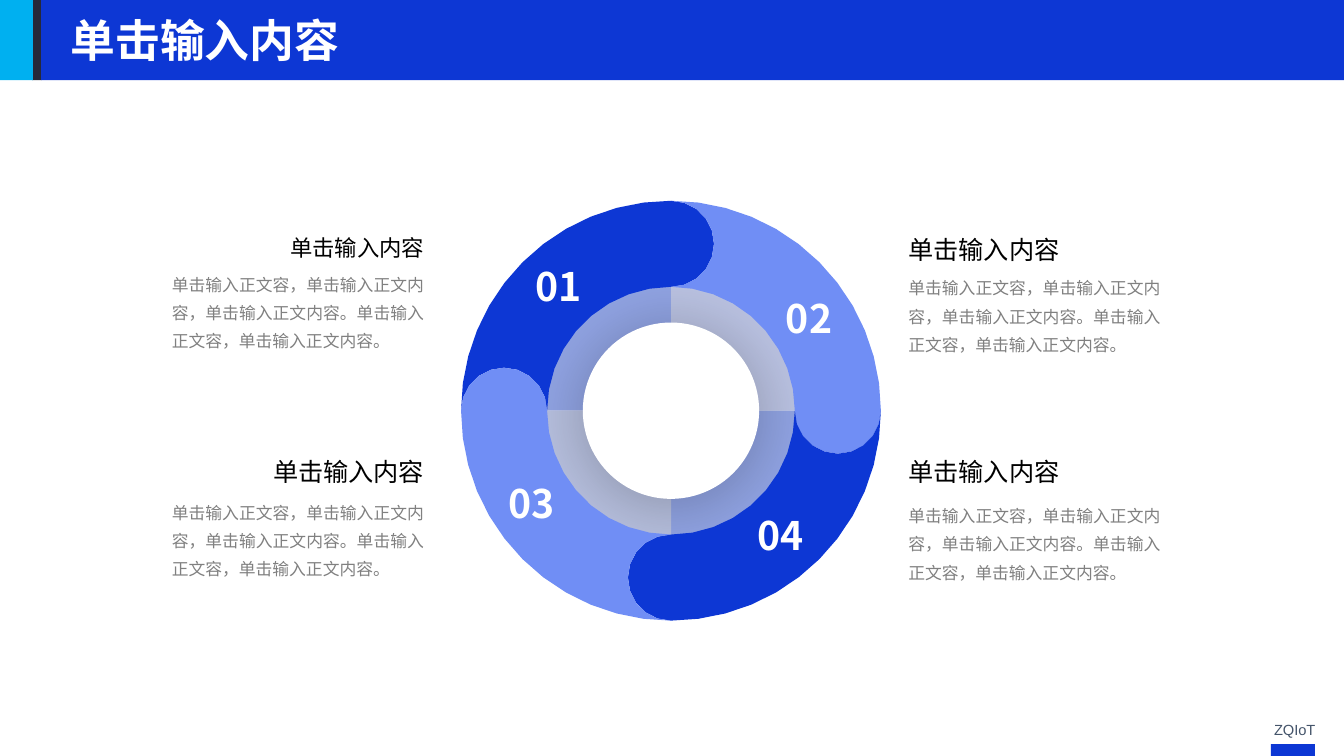
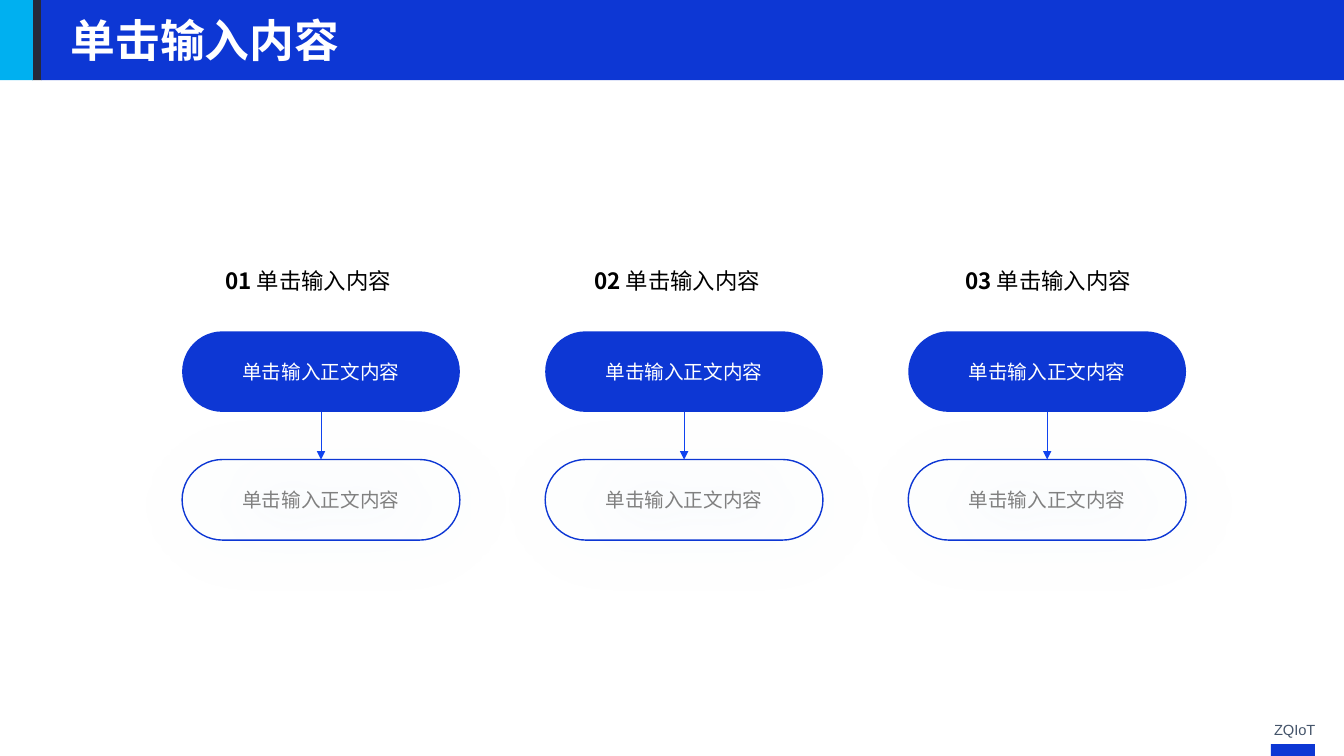
import math

import pptx
import pptx.dml.color
import pptx.enum.dml
import pptx.enum.shapes
import pptx.enum.text
import pptx.oxml
import pptx.oxml.ns
import pptx.util

Cm, Pt = pptx.util.Cm, pptx.util.Pt
ALIGN = pptx.enum.text.PP_ALIGN
PRESET = pptx.enum.shapes.MSO_SHAPE

COLORS = {
    "blue": "0D37D4", "sky": "00B0F0", "navy": "26293A", "light": "708EF5",
    "mist": "BCC4E4", "haze": "B8C1E0", "pale": "92A5E5", "arrow": "1043EF",
    "glow": "5B9BD5", "slate": "44546A", "gray": "808080",
    "white": "FFFFFF", "black": "000000",
}
FONT = "Noto Sans CJK SC"
HEADING = "单击输入内容"
BODY = "单击输入正文容，单击输入正文内容，单击输入正文内容。单击输入正文容，单击输入正文内容。"
STEP_TEXT = "单击输入正文内容"


def rgb(color):
    return pptx.dml.color.RGBColor.from_string(COLORS[color])


def xml(markup):
    """Parse one DrawingML element given without its namespace."""
    head, rest = markup.split(" ", 1)
    return pptx.oxml.parse_xml(f"{head} {pptx.oxml.ns.nsdecls('a')} {rest}")


def add_run(paragraph, text, size, color, bold=False, font=FONT):
    run = paragraph.add_run()
    run.text = text
    run.font.size = Pt(size)
    run.font.bold = bold
    run.font.color.rgb = rgb(color)
    run.font.name = font
    latin = run.font._element.find(pptx.oxml.ns.qn("a:latin"))
    latin.addnext(xml(f'<a:ea typeface="{font}"/>'))


def add_text(slide, box, align=ALIGN.LEFT):
    """Add a wrapping text box and return its first paragraph."""
    frame = slide.shapes.add_textbox(*map(Cm, box)).text_frame
    frame.word_wrap = True
    frame.auto_size = pptx.enum.text.MSO_AUTO_SIZE.SHAPE_TO_FIT_TEXT
    frame.paragraphs[0].alignment = align
    return frame.paragraphs[0]


def paint(shape, fill=None, line=None):
    shape.shadow.inherit = False
    if fill:
        shape.fill.solid()
        shape.fill.fore_color.rgb = rgb(fill)
    else:
        shape.fill.background()
    if line:
        shape.line.color.rgb = rgb(line)
        shape.line.width = Pt(1)
    else:
        shape.line.fill.background()
    return shape


def add_preset(slide, preset, box, fill=None, line=None):
    return paint(slide.shapes.add_shape(preset, *map(Cm, box)), fill, line)


def cast_shadow(shape, color, alpha, blur, distance, angle):
    effects = shape._element.spPr.find(pptx.oxml.ns.qn("a:effectLst"))
    effects.append(xml(
        f'<a:outerShdw blurRad="{Pt(blur)}" dist="{Pt(distance)}" '
        f'dir="{angle * 60000}" algn="ctr" rotWithShape="0">'
        f'<a:srgbClr val="{COLORS[color]}"><a:alpha val="{alpha * 1000}"/>'
        '</a:srgbClr></a:outerShdw>'))


def arc(center, radius, start, end, steps):
    """Points in cm along an arc; degrees run clockwise from the right."""
    angles = [math.radians(start + (end - start) * i / steps)
              for i in range(steps + 1)]
    return [(center[0] + radius * math.cos(a),
             center[1] + radius * math.sin(a)) for a in angles]


def add_outline(slide, points, fill):
    first, *others = [(Cm(x), Cm(y)) for x, y in points]
    builder = slide.shapes.build_freeform(*first)
    builder.add_line_segments(others)
    paint(builder.convert_to_shape(), fill)


def add_frame(prs):
    """Add a slide with the title band and the footer."""
    slide = prs.slides.add_slide(prs.slide_layouts[6])
    # Title band
    for left, width, color in ((0.81, 0.24, "navy"), (0, 0.83, "sky"),
                               (1.04, 32.83, "blue")):
        add_preset(slide, PRESET.RECTANGLE, (left, 0, width, 2.02), color)
    # Footer
    footer = add_text(slide, (31.14, 18.04, 2.26, 0.71), ALIGN.RIGHT)
    add_run(footer, "ZQIoT", 10.5, "slate", font="Arial")
    add_preset(slide, PRESET.RECTANGLE, (32.03, 18.75, 1.11, 0.3), "blue")
    # Title
    add_run(add_text(slide, (1.53, 0.2, 18, 1.63)), HEADING, 32, "white", True)
    return slide


def add_ring(slide, box):
    """Four interlocking blades around a shaded hub."""
    left, top, size, _ = box
    outer = size / 2
    inner, hole = outer * 0.59, outer * 0.42
    middle, cap = (outer + inner) / 2, (outer - inner) / 2
    center = (left + outer, top + outer)

    # Hub quarters, clockwise from the upper left; blades cover their rims
    for quarter, color in enumerate(("pale", "mist", "pale", "haze")):
        start = 180 + 90 * quarter
        rim = arc(center, inner + 0.1, start, start + 90, 4)
        add_outline(slide, [center, *rim], color)
    hub = add_preset(slide, PRESET.OVAL,
                     (center[0] - hole, center[1] - hole, 2 * hole, 2 * hole),
                     "white")
    cast_shadow(hub, "black", 27, 56, 4, 90)

    # Blades: round head at the end, matching notch at the start
    for quarter in range(4):
        start = 180 + 90 * quarter
        end = start + 90
        notch_center, head_center = arc(center, middle, start, end, 1)
        add_outline(slide,
                    arc(center, outer, start, end, 12)
                    + arc(head_center, cap, end, end + 180, 10)[1:]
                    + arc(center, inner, end, start, 9)[1:]
                    + arc(notch_center, cap, start + 180, start, 10)[1:-1],
                    "light" if quarter % 2 else "blue")

    # Numbers
    width, height = 3.12, 1.45
    for number, dx, dy in (("01", -2.83, -3.14), ("02", 3.48, -2.34),
                           ("03", -3.52, 2.34), ("04", 2.76, 3.14)):
        place = (center[0] + dx - width / 2, center[1] + dy - height / 2,
                 width, height)
        add_run(add_text(slide, place, ALIGN.CENTER), number, 28, "white", True)


def add_note(slide, box, size, gap, align):
    """Heading with a justified paragraph below it."""
    left, top, width, height = box
    add_run(add_text(slide, (left, top, width, 1), align), HEADING, size, "black")
    body = add_text(slide, (left, top + gap, width, height - gap), ALIGN.JUSTIFY)
    body.line_spacing = 1.4
    add_run(body, BODY, 12, "gray")


def add_step(slide, box, fill, line, color):
    pill = add_preset(slide, PRESET.ROUNDED_RECTANGLE, box, fill, line)
    pill.adjustments[0] = 0.5
    pill.text_frame.word_wrap = True
    pill.text_frame.vertical_anchor = pptx.enum.text.MSO_ANCHOR.MIDDLE
    label = pill.text_frame.paragraphs[0]
    label.alignment = ALIGN.CENTER
    add_run(label, STEP_TEXT, 14, color)
    return pill


def add_flow(slide, box, number, indent):
    """Numbered heading, filled step, arrow and outlined step."""
    left, top, width, height = box
    step_height = 2.03
    # Steps
    source = add_step(slide, (left, top + 1.75, width, step_height),
                      "blue", None, "white")
    target = add_step(slide, (left, top + height - step_height, width, step_height),
                      None, "blue", "gray")
    cast_shadow(target, "glow", 26, 42, 5, 50)
    # Heading
    heading = add_text(slide, (left + indent, top, 4.75, 0.94), ALIGN.CENTER)
    add_run(heading, number + " ", 16, "black", True)
    add_run(heading, HEADING, 16, "black")
    # Arrow
    arrow = slide.shapes.add_connector(
        pptx.enum.shapes.MSO_CONNECTOR.STRAIGHT, 0, 0, 0, 0)
    arrow.begin_connect(source, 2)
    arrow.end_connect(target, 0)
    arrow.line.color.rgb = rgb("arrow")
    arrow.line.width = Pt(0.5)
    arrow.line._get_or_add_ln().append(xml('<a:tailEnd type="triangle"/>'))
    arrow._element.spPr.append(xml("<a:effectLst />"))


def add_ring_slide(prs):
    slide = add_frame(prs)
    add_ring(slide, (11.62, 5.06, 10.58, 10.58))
    for left, top, size, gap, align in (
            (4.08, 5.77, 16, 0.82, ALIGN.RIGHT),
            (22.64, 5.77, 18, 0.91, ALIGN.LEFT),
            (4.08, 11.38, 18, 0.96, ALIGN.RIGHT),
            (22.64, 11.38, 18, 1.04, ALIGN.LEFT)):
        add_note(slide, (left, top, 6.86, 3.4), size, gap, align)


def add_flow_slide(prs):
    slide = add_frame(prs)
    for column, indent in enumerate((0.8, 0.95, 1.15)):
        add_flow(slide, (4.59 + 9.15 * column, 6.6, 7, 7.01),
                 f"0{column + 1}", indent)


def main():
    prs = pptx.Presentation()
    prs.slide_width, prs.slide_height = Cm(33.87), Cm(19.05)
    add_ring_slide(prs)
    add_flow_slide(prs)
    prs.save("out.pptx")


if __name__ == "__main__":
    main()
